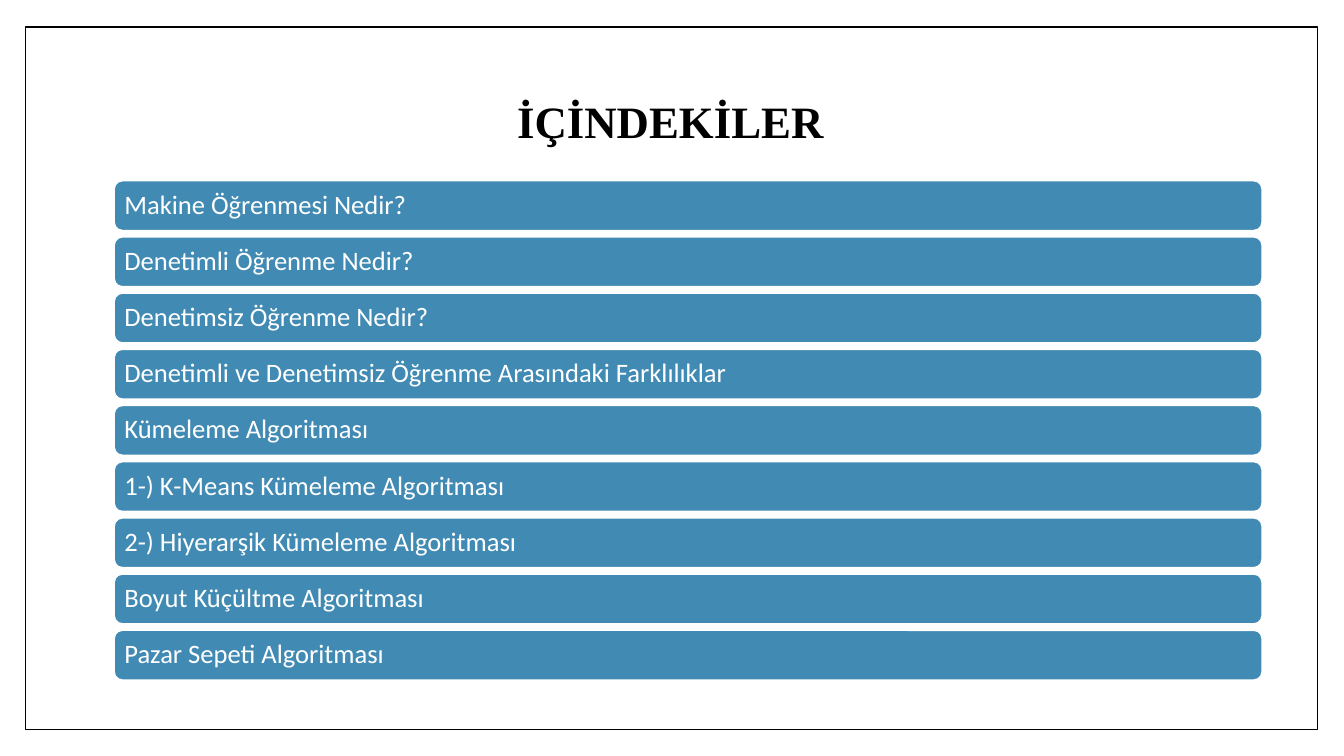
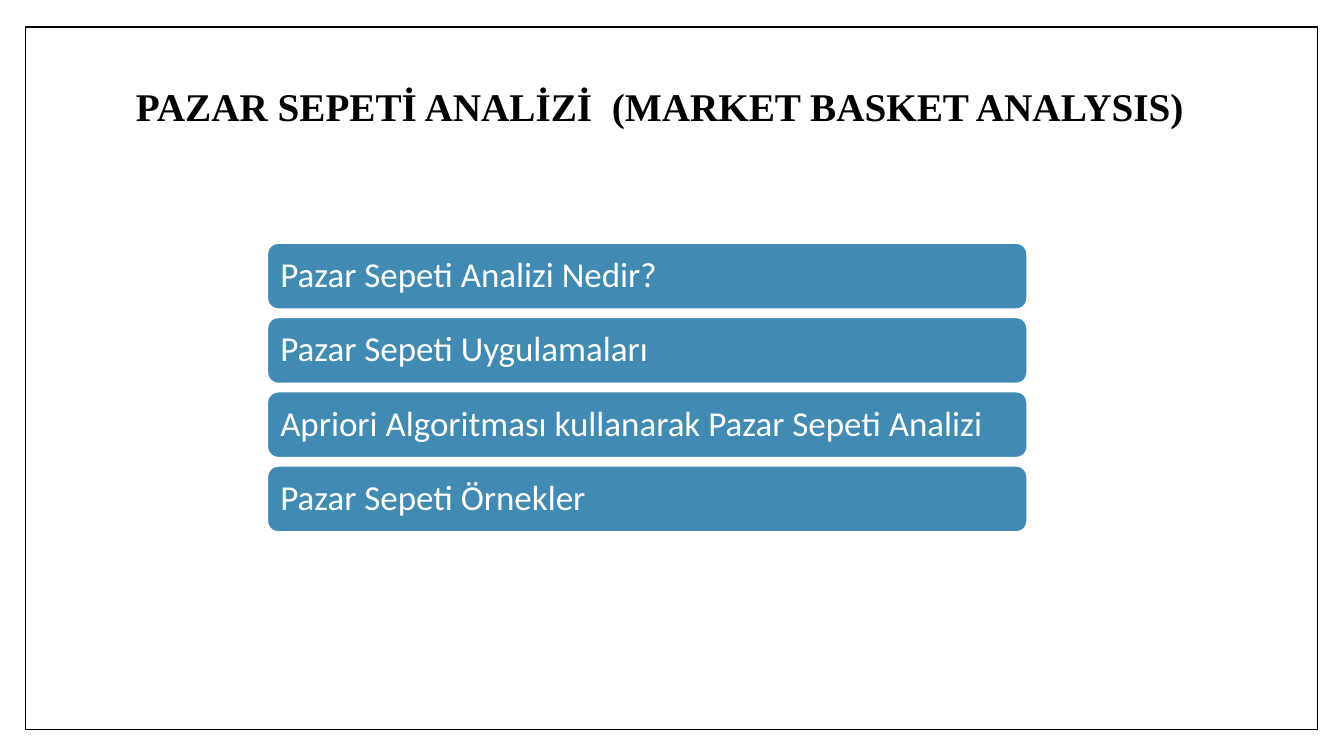
from pptx import Presentation
from pptx.dml.color import RGBColor
from pptx.enum.shapes import MSO_SHAPE
from pptx.enum.text import MSO_ANCHOR, PP_ALIGN
from pptx.util import Inches, Pt

COLORS = {"paper": "FFFFFF", "ink": "000000", "bar": "418AB3"}
FRAME = (0.25, 0.27, 12.82, 6.97)
TITLE = {"name": "Times New Roman", "bold": True}
LABEL = {"name": "Calibri"}

SLIDES = [
    {
        "title": "İÇİNDEKİLER",
        "box": (1.25, 0.67, 10.8, 1.12), "size": 32, "align": PP_ALIGN.CENTER,
        "items": [
            "Makine Öğrenmesi Nedir?",
            "Denetimli Öğrenme Nedir?",
            "Denetimsiz Öğrenme Nedir?",
            "Denetimli ve Denetimsiz Öğrenme Arasındaki Farklılıklar",
            "Kümeleme Algoritması",
            "1-) K-Means Kümeleme Algoritması",
            "2-) Hiyerarşik Kümeleme Algoritması",
            "Boyut Küçültme Algoritması",
            "Pazar Sepeti Algoritması",
        ],
        "bars": {"left": 1.13, "first": 1.79, "last": 6.25,
                 "width": 11.39, "height": 0.5, "inset": 0.08, "size": 19},
    },
    {
        "title": "PAZAR SEPETİ ANALİZİ  (MARKET BASKET ANALYSIS)",
        "box": (1.25, 0.67, 10.8, 0.82), "size": 28, "align": PP_ALIGN.LEFT,
        "items": [
            "Pazar Sepeti Analizi Nedir?",
            "Pazar Sepeti Uygulamaları",
            "Apriori Algoritması kullanarak Pazar Sepeti Analizi",
            "Pazar Sepeti Örnekler",
        ],
        "bars": {"left": 2.65, "first": 2.41, "last": 4.62,
                 "width": 7.54, "height": 0.66, "inset": 0.1, "size": 25},
    },
]


def color(key):
    return RGBColor.from_string(COLORS[key])


def add_box(slide, kind, box, fill, line, weight):
    shape = slide.shapes.add_shape(kind, *map(Inches, box))
    shape.shadow.inherit = False
    shape.fill.solid()
    shape.fill.fore_color.rgb = color(fill)
    shape.line.color.rgb = color(line)
    shape.line.width = Pt(weight)
    return shape


def write(shape, text, style, size, ink, align=PP_ALIGN.LEFT):
    frame = shape.text_frame
    frame.word_wrap = True
    frame.vertical_anchor = MSO_ANCHOR.MIDDLE
    para = frame.paragraphs[0]
    para.text = text
    para.alignment = align
    para.line_spacing = 0.9
    for key, value in {**style, "size": Pt(size)}.items():
        setattr(para.font, key, value)
    para.font.color.rgb = color(ink)


def add_bars(slide, items, bars):
    """Stack one labelled bar per item, evenly from first to last top."""
    step = (bars["last"] - bars["first"]) / (len(items) - 1)
    for i, item in enumerate(items):
        box = (bars["left"], bars["first"] + i * step,
               bars["width"], bars["height"])
        bar = add_box(slide, MSO_SHAPE.ROUNDED_RECTANGLE, box,
                      "bar", "paper", 1.5)
        for side in ("left", "top", "right", "bottom"):
            setattr(bar.text_frame, f"margin_{side}", Inches(bars["inset"]))
        write(bar, item, LABEL, bars["size"], "paper")


def main():
    deck = Presentation()
    deck.slide_width, deck.slide_height = Inches(13.33), Inches(7.5)
    for page in SLIDES:
        slide = deck.slides.add_slide(deck.slide_layouts[6])
        add_box(slide, MSO_SHAPE.RECTANGLE, FRAME, "paper", "ink", 1)
        title = slide.shapes.add_textbox(*map(Inches, page["box"]))
        write(title, page["title"], TITLE, page["size"], "ink", page["align"])
        add_bars(slide, page["items"], page["bars"])
    deck.save("out.pptx")


if __name__ == "__main__":
    main()
